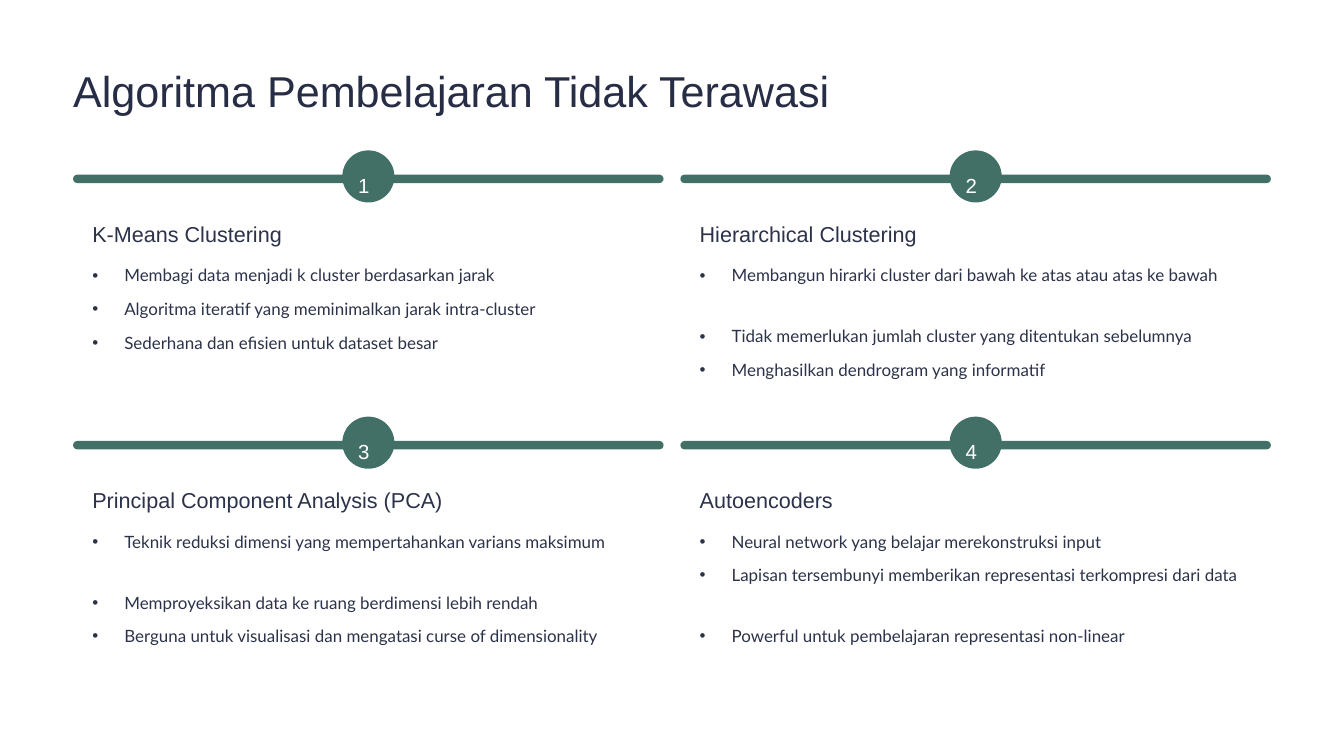
from lxml import etree
from pptx import Presentation
from pptx.dml.color import RGBColor
from pptx.enum import shapes, text
from pptx.oxml import ns
from pptx.util import Inches, Pt

# Content: heading and bullets; True marks a bullet that reserves a second line
TITLE = "Algoritma Pembelajaran Tidak Terawasi"
ALGORITHMS = [
    ("K-Means Clustering", [
        ("Membagi data menjadi k cluster berdasarkan jarak", False),
        ("Algoritma iteratif yang meminimalkan jarak intra-cluster", False),
        ("Sederhana dan efisien untuk dataset besar", False)]),
    ("Hierarchical Clustering", [
        ("Membangun hirarki cluster dari bawah ke atas atau atas ke bawah", True),
        ("Tidak memerlukan jumlah cluster yang ditentukan sebelumnya", False),
        ("Menghasilkan dendrogram yang informatif", False)]),
    ("Principal Component Analysis (PCA)", [
        ("Teknik reduksi dimensi yang mempertahankan varians maksimum", True),
        ("Memproyeksikan data ke ruang berdimensi lebih rendah", False),
        ("Berguna untuk visualisasi dan mengatasi curse of dimensionality", False)]),
    ("Autoencoders", [
        ("Neural network yang belajar merekonstruksi input", False),
        ("Lapisan tersembunyi memberikan representasi terkompresi dari data", True),
        ("Powerful untuk pembelajaran representasi non-linear", False)]),
]
COLORS = {"title": "272D45", "text": "2C3249", "green": "437066", "white": "FFFFFF"}

# Grid, in inches
MARGIN, CARD_W, GUTTER = 0.87, 7.03, 0.2
ROW_TOP, ROW_STEP = 1.79, 3.17
BADGE, BAR_H, PADDING = 0.62, 0.1, 0.23
LINE, BULLET_GAP = 23.5, 5.3  # points


def color(name):
    return RGBColor.from_string(COLORS[name])


def place(item, left, top, width, height):
    item.left, item.top = Inches(left), Inches(top)
    item.width, item.height = Inches(width), Inches(height)


def set_frame(frame, left=0, top=0):
    frame.margin_left, frame.margin_top = Inches(left), Inches(top)
    frame.margin_right = frame.margin_bottom = 0
    frame.word_wrap = True
    frame.auto_size = text.MSO_AUTO_SIZE.NONE
    frame.vertical_anchor = text.MSO_ANCHOR.TOP


def write(paragraph, words, size, font, shade, line):
    paragraph.text = words
    paragraph.alignment = text.PP_ALIGN.LEFT
    paragraph.line_spacing = Pt(line)
    paragraph.font.size, paragraph.font.name = Pt(size), font
    paragraph.font.bold = False
    paragraph.font.color.rgb = color(shade)


def add_bullet(paragraph):
    props = paragraph._p.get_or_add_pPr()
    props.set("marL", str(Inches(0.38)))
    props.set("indent", str(-Inches(0.38)))
    etree.SubElement(props, ns.qn("a:buFont"), typeface="Arial")
    etree.SubElement(props, ns.qn("a:buChar"), char="•")


def add_green(kind, left, top, width, height):
    part = slide.shapes.add_shape(kind, 0, 0, 0, 0)
    place(part, left, top, width, height)
    part.shadow.inherit = False
    part.fill.solid()
    part.fill.fore_color.rgb = color("green")
    part.line.fill.background()
    return part


prs = Presentation()
prs.slide_width, prs.slide_height = Inches(16), Inches(9)
slide = prs.slides.add_slide(prs.slide_layouts.get_by_name("Comparison"))
slide.background.fill.solid()
slide.background.fill.fore_color.rgb = color("white")

# Title
title = slide.shapes.title
place(title, MARGIN, 0.74, 2 * CARD_W + GUTTER, 0.64)
set_frame(title.text_frame)
write(title.text_frame.paragraphs[0], TITLE, 37, "Arial", "title", 46)

# Four algorithms on a two by two grid
for number, (name, points) in enumerate(ALGORITHMS, 1):
    row, col = divmod(number - 1, 2)
    left = MARGIN + col * (CARD_W + GUTTER)
    top = ROW_TOP + row * ROW_STEP
    inner_left, inner_w = left + PADDING, CARD_W - 2 * PADDING

    # Bar with its numbered badge
    bar = add_green(shapes.MSO_SHAPE.ROUNDED_RECTANGLE, left, top + 0.29, CARD_W, BAR_H)
    bar.adjustments[0] = 0.5
    badge = add_green(shapes.MSO_SHAPE.OVAL, left + (CARD_W - BADGE) / 2, top, BADGE, BADGE)
    set_frame(badge.text_frame, left=0.1, top=0.07)
    write(badge.text_frame.paragraphs[0], str(number), 17.5, "Arial", "white", 28.5)

    # Heading
    heading = slide.shapes.add_textbox(0, 0, 0, 0)
    place(heading, inner_left, top + 0.83, inner_w, 0.32)
    set_frame(heading.text_frame)
    write(heading.text_frame.paragraphs[0], name, 18.5, "Arial", "text", 23)

    # Bullets
    bullets = slide.placeholders[number]
    place(bullets, inner_left, top + 1.28, inner_w, 1.8)
    frame = bullets.text_frame
    set_frame(frame)
    gap = 0
    for i, (point, two_lines) in enumerate(points):
        paragraph = frame.add_paragraph() if i else frame.paragraphs[0]
        add_bullet(paragraph)
        write(paragraph, point, 14.5, "Lato", "text", LINE)
        paragraph.space_before = Pt(gap)
        gap = BULLET_GAP + LINE * two_lines

prs.save("out.pptx")
